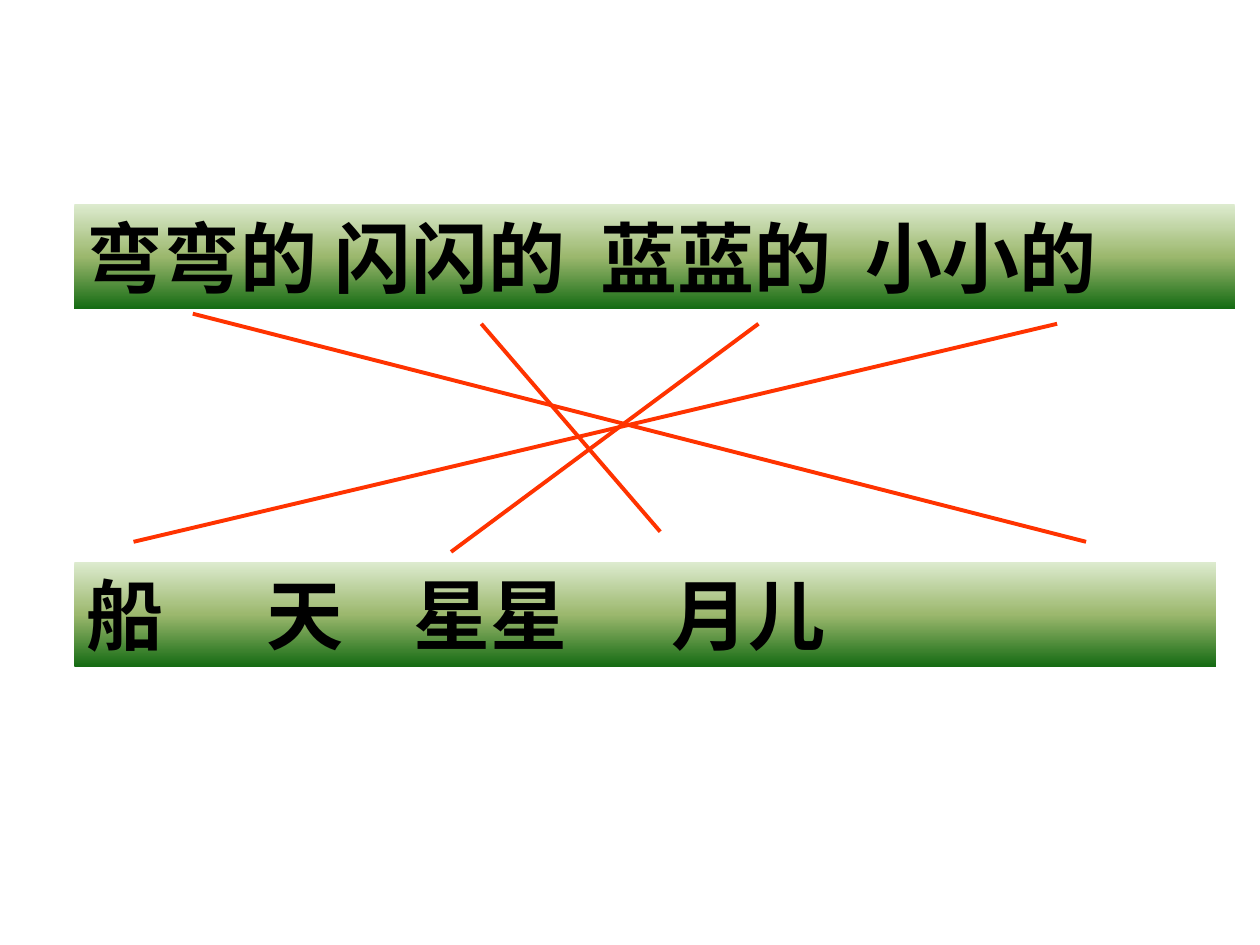
from copy import deepcopy

from lxml.etree import SubElement
from pptx import Presentation
from pptx.dml.color import RGBColor
from pptx.enum.shapes import MSO_CONNECTOR, MSO_SHAPE
from pptx.enum.text import MSO_ANCHOR, PP_ALIGN
from pptx.oxml.ns import qn
from pptx.util import Inches, Pt

FONT = "Noto Sans CJK SC"
COLORS = {"top": "DDEBCF", "middle": "9CB86E", "bottom": "156B13",
          "text": "000000", "match": "FF3300"}
BAR_LEFT, BAR_HEIGHT = 0.59, 0.83

# top, width, words, tab stops of the words after the first
BARS = [
    (1.62, 9.21, ["弯弯的", "闪闪的", "蓝蓝的", "小小的"], [1.97, 4.08, 6.18]),
    (4.46, 9.06, ["船", "天", "星星", "月儿"], [1.43, 2.59, 4.64]),
]
MATCHES = [
    ((1.53, 2.49), (8.62, 4.30)),
    ((3.82, 2.57), (5.24, 4.22)),
    ((6.02, 2.57), (3.58, 4.38)),
    ((1.06, 4.30), (8.39, 2.57)),
]


def rgb(name):
    return RGBColor.from_string(COLORS[name])


def fill_gradient(sp):
    """Fill from top to bottom with three evenly spaced colours."""
    sp.fill.gradient()
    sp.fill.gradient_angle = 270
    stop_list = sp.fill._fill._gradFill.find(qn("a:gsLst"))
    stop_list.insert(1, deepcopy(stop_list[0]))
    names = ("top", "middle", "bottom")
    for stop, name, pos in zip(sp.fill.gradient_stops, names, (0, 0.5, 1)):
        stop.color.rgb = rgb(name)
        stop.position = pos


def add_word_bar(s, top, width, words, tabs):
    sp = s.shapes.add_shape(MSO_SHAPE.RECTANGLE, Inches(BAR_LEFT), Inches(top),
                            Inches(width), Inches(BAR_HEIGHT))
    sp.shadow.inherit = False
    sp.line.fill.background()
    fill_gradient(sp)
    tf = sp.text_frame
    tf.word_wrap = True
    tf.vertical_anchor = MSO_ANCHOR.MIDDLE
    p = tf.paragraphs[0]
    p.text = "\t".join(words)
    p.alignment = PP_ALIGN.LEFT
    tab_list = SubElement(p._p.get_or_add_pPr(), qn("a:tabLst"))
    for tab in tabs:
        SubElement(tab_list, qn("a:tab"), pos=str(Inches(tab)), algn="l")
    for r in p.runs:
        r.font.name = FONT
        r.font.size = Pt(44)
        r.font.bold = True
        r.font.color.rgb = rgb("text")
        SubElement(r._r.get_or_add_rPr(), qn("a:ea"), typeface=FONT)


def add_match(s, start, end):
    line = s.shapes.add_connector(MSO_CONNECTOR.STRAIGHT,
                                  *map(Inches, start + end))
    line.line.color.rgb = rgb("match")
    line.line.width = Pt(2.25)
    SubElement(line._element.spPr, qn("a:effectLst"))


def main():
    prs = Presentation()
    prs.slide_width, prs.slide_height = Inches(10), Inches(7.5)
    s = prs.slides.add_slide(prs.slide_layouts[6])
    for bar in BARS:
        add_word_bar(s, *bar)
    for match in MATCHES:
        add_match(s, *match)
    prs.save("out.pptx")


if __name__ == "__main__":
    main()
